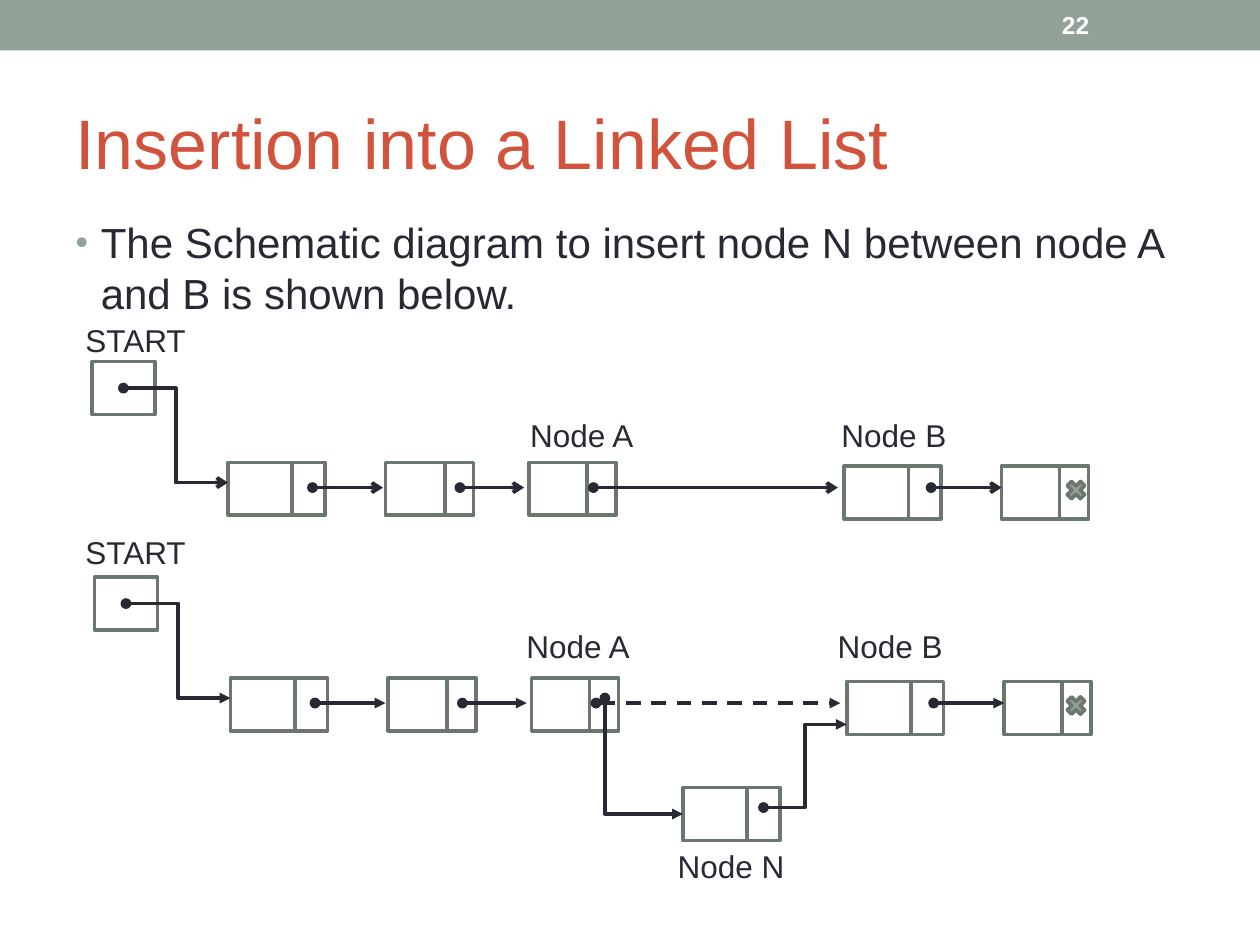
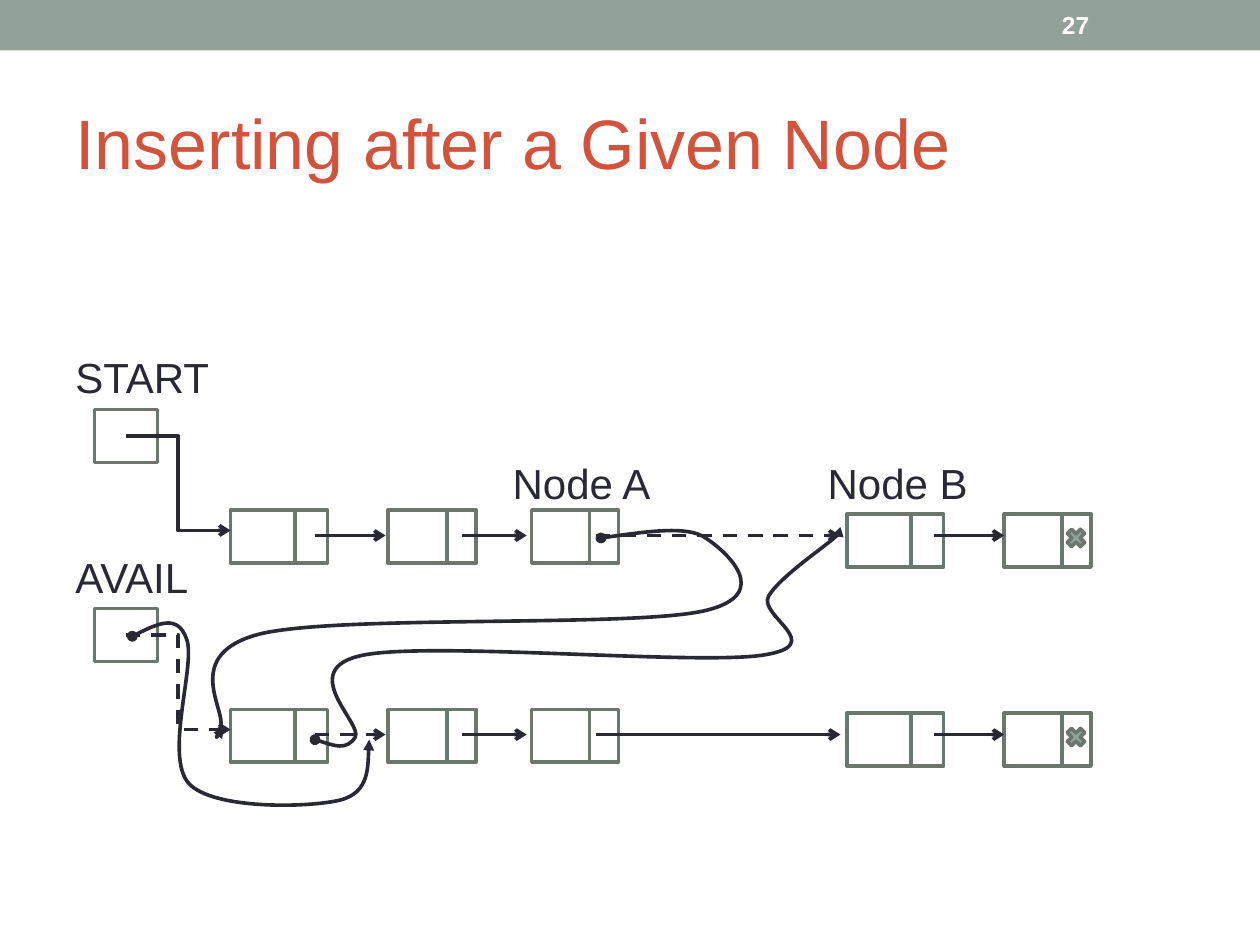
from dataclasses import dataclass

from lxml import etree
from pptx import Presentation
from pptx import util as u
from pptx.dml.color import RGBColor
from pptx.enum import dml, shapes, text
from pptx.oxml.ns import qn


@dataclass(frozen=True)
class Theme:
    """Colours, font and sizes shared by the slides."""
    font: str = "Arial"
    band: str = "93A299"
    title: str = "D2533C"
    ink: str = "292934"
    outline: str = "6B766F"
    white: str = "FFFFFF"
    title_size: int = 40
    body_size: int = 24
    label_size: int = 18
    number_size: int = 14
    line_width: float = 2.07


THEME = Theme()
NODES = [(1.08, 0.8, 0.51, 0.26), (2.33, 0.8, 0.47, 0.23), (3.47, 0.8, 0.46, 0.23),
         (5.97, 0.83, 0.51, 0.26), (7.22, 0.83, 0.46, 0.23)]
LINKS = [(1.75, 2.31), (2.92, 3.43), (3.98, 5.92), (6.66, 7.22)]
BOX_HEIGHT = 0.42
NODE_A_TO_NEW = [
    (4.77, 4.27),
    (5.12, 4.22), (5.46, 4.17), (5.6, 4.27),
    (5.74, 4.36), (6.17, 4.72), (5.58, 4.85),
    (4.99, 4.98), (2.71, 4.88), (2.07, 5.03),
    (1.43, 5.19), (1.8, 5.64), (1.75, 5.77),
    (1.7, 5.89), (1.74, 5.83), (1.78, 5.77)]
NEW_TO_NODE_B = [
    (2.5, 5.87),
    (2.63, 5.91), (2.75, 5.96), (2.82, 5.85),
    (2.88, 5.74), (2.34, 5.31), (2.88, 5.2),
    (3.42, 5.09), (5.51, 5.28), (6.05, 5.2),
    (6.59, 5.12), (6.01, 4.89), (6.1, 4.73),
    (6.19, 4.58), (6.53, 4.35), (6.62, 4.27),
    (6.7, 4.19), (6.65, 4.22), (6.6, 4.25)]
AVAIL_TO_SECOND = [
    (1.05, 5.05),
    (1.23, 4.96), (1.41, 4.87), (1.48, 5.07),
    (1.56, 5.26), (1.3, 6), (1.5, 6.22),
    (1.7, 6.43), (2.46, 6.41), (2.7, 6.35),
    (2.94, 6.29), (2.93, 5.87), (2.93, 5.87)]


def rgb(color):
    """Return a colour object for a hex string."""
    return RGBColor.from_string(color)


def inches(*lengths):
    """Convert several lengths at once."""
    return [u.Inches(length) for length in lengths]


def place(shape, left, top, width, height):
    """Move and size a shape."""
    shape.left, shape.top, shape.width, shape.height = inches(left, top, width, height)


def write(shape, words, *, size, color=THEME.ink, bold=False,
          anchor=text.MSO_ANCHOR.TOP, wrap=True):
    """Fill a shape with one formatted paragraph and return the paragraph."""
    frame = shape.text_frame
    frame.auto_size = text.MSO_AUTO_SIZE.NONE
    frame.word_wrap = wrap
    frame.vertical_anchor = anchor
    paragraph = frame.paragraphs[0]
    paragraph.alignment = text.PP_ALIGN.LEFT
    paragraph.space_before = u.Pt(0)
    run = paragraph.add_run()
    run.text = words
    run.font.name = THEME.font
    run.font.size = u.Pt(size)
    run.font.bold = bold
    run.font.color.rgb = rgb(color)
    return paragraph


def add_label(slide, words, left, top, width=1.06, height=0.4, **form):
    """Add a text box holding one short label."""
    box = slide.shapes.add_textbox(*inches(left, top, width, height))
    return write(box, words, **{"size": THEME.label_size, **form})


def add_node_names(slide, left, top):
    """Name nodes A and B in one line with a tab between them."""
    paragraph = add_label(slide, "Node A\tNode B", left, top, 3.57)
    tabs = etree.SubElement(paragraph._p.get_or_add_pPr(), qn("a:tabLst"))
    etree.SubElement(tabs, qn("a:tab"), pos=str(u.Inches(2.47)), algn="l")


def add_bullet(paragraph):
    """Give a paragraph a hanging coloured bullet."""
    properties = paragraph._p.get_or_add_pPr()
    properties.set("marL", str(u.Inches(0.2)))
    properties.set("indent", str(-u.Inches(0.2)))
    color = etree.SubElement(properties, qn("a:buClr"))
    etree.SubElement(color, qn("a:srgbClr"), val=THEME.band)
    etree.SubElement(properties, qn("a:buSzPct"), val="85000")
    etree.SubElement(properties, qn("a:buFont"), typeface=THEME.font)
    etree.SubElement(properties, qn("a:buChar"), char="•")


def style_line(shape, head=None, tail=None, dashed=False):
    """Set a pointer line's colour, dash and arrowheads."""
    shape.line.color.rgb = rgb(THEME.ink)
    shape.line.width = u.Pt(THEME.line_width)
    if dashed:
        shape.line.dash_style = dml.MSO_LINE.DASH
    properties = shape.element.spPr
    line = properties.find(qn("a:ln"))
    for tag, kind in (("a:headEnd", head), ("a:tailEnd", tail)):
        if kind:
            etree.SubElement(line, qn(tag), type=kind)
    etree.SubElement(properties, qn("a:effectLst"))


def add_pointer(slide, start, end, *, elbow=False, **form):
    """Add a straight or three-part elbow pointer."""
    kind = shapes.MSO_CONNECTOR.ELBOW if elbow else shapes.MSO_CONNECTOR.STRAIGHT
    pointer = slide.shapes.add_connector(kind, *inches(*start, *end))
    style_line(pointer, **form)


def add_corner_pointer(slide, start, end, **form):
    """Add a pointer that goes down and then right."""
    (x1, y1), (x2, y2) = start, end
    middle_x, middle_y = (x1 + x2) / 2, (y1 + y2) / 2
    half_width, half_height = (y2 - y1) / 2, (x2 - x1) / 2
    pointer = slide.shapes.add_connector(
        shapes.MSO_CONNECTOR.ELBOW,
        *inches(middle_x - half_width, middle_y - half_height,
                middle_x + half_width, middle_y + half_height))
    properties = pointer.element.spPr
    properties.find(qn("a:prstGeom")).set("prst", "bentConnector2")
    transform = properties.find(qn("a:xfrm"))
    transform.set("rot", str(270 * 60000))
    transform.set("flipH", "1")
    style_line(pointer, **form)


def add_curve(slide, controls):
    """Add a pointer whose segments are cubic curves."""
    anchors = [tuple(inches(*point)) for point in controls[::3]]
    builder = slide.shapes.build_freeform(*anchors[0])
    builder.add_line_segments(anchors[1:], close=False)
    curve = builder.convert_to_shape()
    segments = list(curve.element.iter(qn("a:lnTo")))
    for index, segment in enumerate(segments):
        segment.tag = qn("a:cubicBezTo")
        segment.clear()
        for x, y in controls[3 * index + 1:3 * index + 4]:
            etree.SubElement(segment, qn("a:pt"), x=str(u.Inches(x) - curve.left),
                             y=str(u.Inches(y) - curve.top))
    curve.fill.background()
    style_line(curve, head="oval", tail="triangle")


def add_outlined(slide, kind, left, top, width, height, fill=None):
    """Add a preset shape with the list's outline."""
    shape = slide.shapes.add_shape(kind, *inches(left, top, width, height))
    shape.shadow.inherit = False
    shape.line.color.rgb = rgb(THEME.outline)
    shape.line.width = u.Pt(THEME.line_width)
    if fill:
        shape.fill.solid()
        shape.fill.fore_color.rgb = rgb(fill)
    else:
        shape.fill.background()


def add_node(slide, left, top, data_width, link_width):
    """Add a node made of a data cell and a link cell."""
    rectangle = shapes.MSO_SHAPE.RECTANGLE
    add_outlined(slide, rectangle, left, top, data_width, BOX_HEIGHT)
    add_outlined(slide, rectangle, left + data_width, top, link_width, BOX_HEIGHT)


def add_linked_list(slide, left, top, *, head=None, tail="arrow", dashed=()):
    """Add a list from its start box; pointer 0 leaves that box."""
    add_outlined(slide, shapes.MSO_SHAPE.RECTANGLE, left, top, 0.5, BOX_HEIGHT)
    for x, y, data_width, link_width in NODES:
        add_node(slide, left + x, top + y, data_width, link_width)
    add_pointer(slide, (left + 0.25, top + 0.21), (left + 1.08, top + 0.96),
                elbow=True, head=head, tail=tail, dashed=0 in dashed)
    for index, (begin, end) in enumerate(LINKS, 1):
        add_pointer(slide, (left + begin, top + 1), (left + end, top + 1),
                    head=head, tail=tail, dashed=index in dashed)
    add_outlined(slide, shapes.MSO_SHAPE.MATH_MULTIPLY, 8.44, top + 0.92, 0.2, 0.2,
                 fill=THEME.band)


def add_master_band(presentation, slide):
    """Put the top band on the slide master."""
    band = slide.shapes.add_shape(shapes.MSO_SHAPE.RECTANGLE, *inches(0, 0, 10, 0.4))
    band.shadow.inherit = False
    band.fill.solid()
    band.fill.fore_color.rgb = rgb(THEME.band)
    band.line.fill.background()
    presentation.slide_master.element.cSld.spTree.insert(2, band.element)


def start_slide(presentation, layout, title, number):
    """Add a slide with its title and number."""
    slide = presentation.slides.add_slide(presentation.slide_layouts[layout])
    place(slide.shapes.title, 0.5, 0.58, 9, 1.08)
    write(slide.shapes.title, title, size=THEME.title_size, color=THEME.title,
          anchor=text.MSO_ANCHOR.MIDDLE)
    add_label(slide, number, 8.33, 0.02, 1.17, 0.36, size=THEME.number_size,
              color=THEME.white, bold=True, anchor=text.MSO_ANCHOR.MIDDLE)
    return slide


def build_insertion(presentation):
    """Show a list before and after node N goes in."""
    slide = start_slide(presentation, 1, "Insertion into a Linked List", "22")
    add_master_band(presentation, slide)
    body = slide.placeholders[1]
    place(body, 0.5, 1.67, 9, 5.33)
    add_bullet(write(
        body, "The Schematic diagram to insert node N between node A and B is shown below.",
        size=THEME.body_size))
    add_linked_list(slide, 0.73, 2.87, head="oval")
    ends = {"head": "oval", "tail": "triangle"}
    add_linked_list(slide, 0.75, 4.58, dashed={3}, **ends)
    add_node(slide, 5.42, 6.25, 0.51, 0.26)
    add_corner_pointer(slide, (4.8, 5.54), (5.42, 6.46), **ends)
    add_pointer(slide, (6.06, 6.41), (6.72, 5.75), elbow=True, **ends)
    add_node_names(slide, 4.11, 3.25)
    add_node_names(slide, 4.08, 4.93)
    for words, left, top in [("START", 0.58, 2.5), ("START", 0.58, 4.18),
                             ("Node N", 5.28, 6.67)]:
        add_label(slide, words, left, top, wrap=False)


def build_given_node(presentation):
    """Show pointers changing when a free node follows node A."""
    slide = start_slide(presentation, 5, "Inserting after a Given Node", "27")
    add_linked_list(slide, 0.75, 3.25, dashed={3})
    add_linked_list(slide, 0.75, 4.83, dashed={0, 1})
    for controls in (NODE_A_TO_NEW, NEW_TO_NODE_B, AVAIL_TO_SECOND):
        add_curve(slide, controls)
    for words, left, top, width in [("START", 0.5, 2.74, 1.53), ("AVAIL", 0.5, 4.33, 1.19),
                                    ("Node A", 3.97, 3.58, 1.53),
                                    ("Node B", 6.47, 3.58, 1.53)]:
        add_label(slide, words, left, top, width, 0.9, size=THEME.body_size)


def main():
    """Build and save the presentation."""
    presentation = Presentation()
    presentation.slide_width, presentation.slide_height = inches(10, 7.5)
    build_insertion(presentation)
    build_given_node(presentation)
    presentation.save("out.pptx")


if __name__ == "__main__":
    main()
